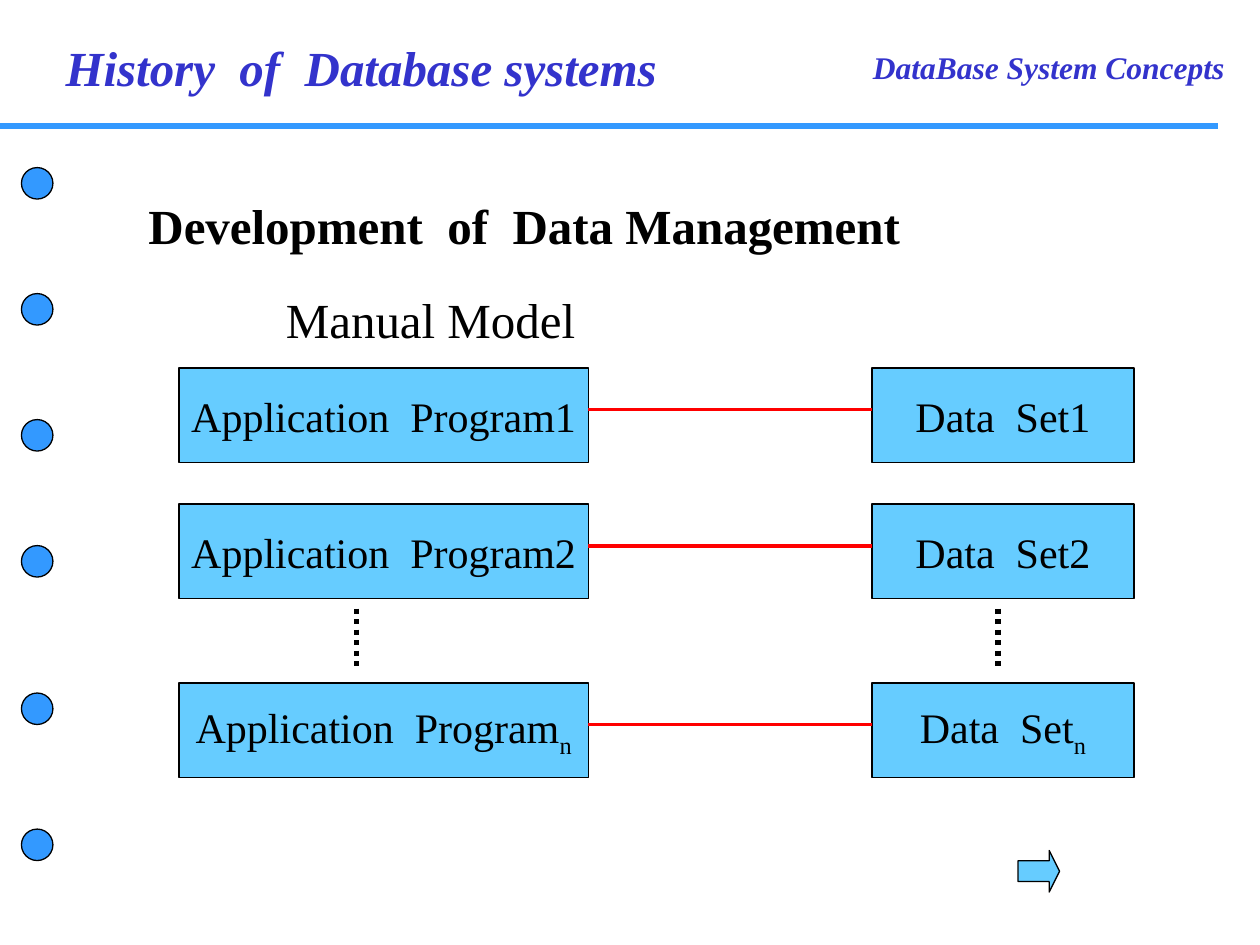
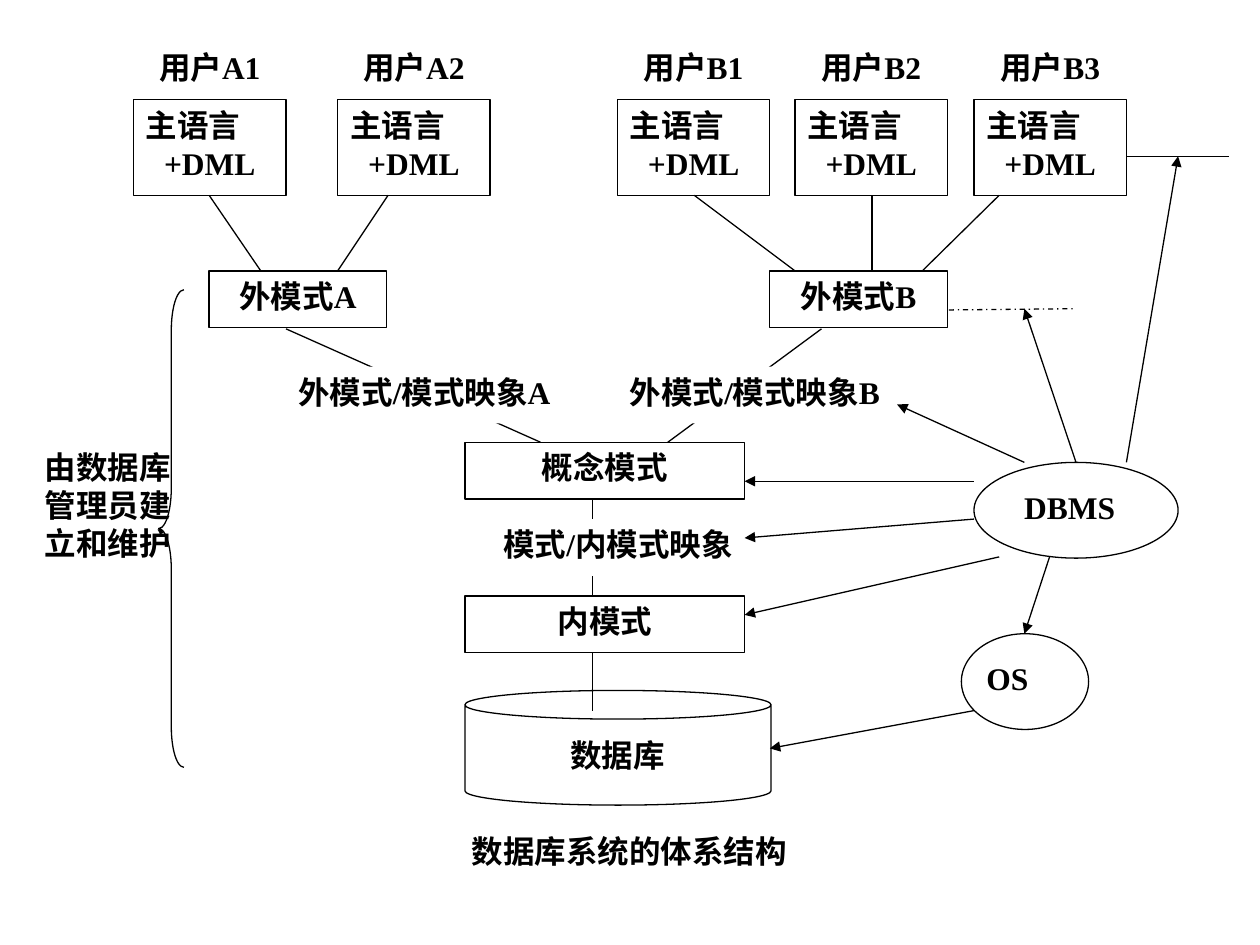
from lxml.etree import SubElement
from pptx import Presentation
from pptx.dml.color import RGBColor
from pptx.enum.dml import MSO_LINE as Dash
from pptx.enum.shapes import MSO_CONNECTOR as Link, MSO_SHAPE as Form
from pptx.enum.text import MSO_ANCHOR as Anchor, MSO_AUTO_SIZE as Auto, PP_ALIGN as Align
from pptx.oxml.ns import qn
from pptx.util import Emu, Pt

PX = 9144  # 100 px to the inch
FONT = "Times New Roman"
BLACK = RGBColor(0x00, 0x00, 0x00)
WHITE = RGBColor(0xFF, 0xFF, 0xFF)
INDIGO = RGBColor(0x33, 0x33, 0xCC)
BLUE = RGBColor(0x33, 0x99, 0xFF)
SKY = RGBColor(0x66, 0xCC, 0xFF)
RED = RGBColor(0xFF, 0x00, 0x00)


def emu(*sizes):
    return [Emu(size * PX) for size in sizes]


def add_run(para, text, size=18, color=BLACK, bold=True, italic=False):
    run = para.add_run()
    run.text = text
    font = run.font
    font.name, font.size, font.bold, font.italic = FONT, Pt(size), bold, italic
    font.color.rgb = color
    return run


def set_frame(shape, wrap=True, anchor=Anchor.TOP):
    frame = shape.text_frame
    frame.word_wrap, frame.vertical_anchor = wrap, anchor
    frame.auto_size = Auto.NONE
    return frame


def fill_text(shape, text, align, **style):
    para = set_frame(shape).paragraphs[0]
    para.alignment = align
    add_run(para, text, **style)


def add_text(slide, place, text, align=Align.LEFT, **style):
    fill_text(slide.shapes.add_textbox(*emu(*place)), text, align, **style)


def set_title(slide, place, text, align=Align.LEFT, **style):
    title = slide.shapes.title
    title.left, title.top, title.width, title.height = emu(*place)
    fill_text(title, text, align, **style)


def add_form(slide, form, place, fill=None, edge=BLACK, adjust=()):
    shape = slide.shapes.add_shape(form, *emu(*place))
    shape.shadow.inherit = False
    if fill is None:
        shape.fill.background()
    else:
        shape.fill.solid()
        shape.fill.fore_color.rgb = fill
    if edge is None:
        shape.line.fill.background()
    else:
        shape.line.color.rgb = edge
        shape.line.width = Pt(0.75)
    for i, value in enumerate(adjust):
        shape.adjustments[i] = value
    return shape


def add_line(slide, ends, color=BLACK, width=0.75, dash=None, arrow=False):
    line = slide.shapes.add_connector(Link.STRAIGHT, *emu(*ends))
    line.line.color.rgb = color
    line.line.width = Pt(width)
    if dash is not None:
        line.line.dash_style = dash
    props = line.element.spPr
    if arrow:
        SubElement(props.find(qn("a:ln")), qn("a:tailEnd"), type="triangle")
    SubElement(props, qn("a:effectLst"))


def add_node(slide, place, text, low=""):
    """Blue box with a centred name and an optional subscript."""
    box = add_form(slide, Form.RECTANGLE, place, SKY)
    para = set_frame(box, wrap=False, anchor=Anchor.MIDDLE).paragraphs[0]
    para.alignment = Align.CENTER
    add_run(para, text, 24, bold=False)
    if low:
        sub = add_run(para, low, 24, bold=False)
        sub.font._element.set("baseline", "-25000")


def add_label(slide, place, *rows, edge=BLACK):
    """White box; each row is a text and its alignment."""
    frame = set_frame(add_form(slide, Form.RECTANGLE, place, WHITE, edge))
    for i, (text, align) in enumerate(rows):
        para = frame.add_paragraph() if i else frame.paragraphs[0]
        para.alignment = align
        add_run(para, text)


def draw_manual(slide):
    """Manual model: each program tied to its own data set."""
    add_line(slide, (0, 100, 967, 100), BLUE, 3)
    for top in (133, 233, 333, 433, 550, 658):
        add_form(slide, Form.OVAL, (17, top, 25, 25), BLUE)
    add_text(slide, (683, 33, 317, 40), "DataBase System Concepts",
             color=INDIGO, italic=True)
    set_title(slide, (42, 25, 540, 57), "History  of  Database systems",
              size=28, color=INDIGO, italic=True)
    add_text(slide, (108, 150, 750, 57), "Development  of  Data Management", size=28)
    add_text(slide, (217, 225, 292, 57), "Manual Model", size=28, bold=False)
    add_form(slide, Form.RIGHT_ARROW, (808, 675, 33, 33), SKY, adjust=(0.5, 0.25))

    for top, mark, low in ((292, "1", ""), (400, "2", ""), (542, "", "n")):
        add_node(slide, (142, top, 325, 75), "Application  Program" + mark, low)
        add_node(slide, (692, top, 208, 75), "Data  Set" + mark, low)
        add_line(slide, (467, top + 33, 692, top + 33), RED, 2.25)
    for x in (283, 792):
        add_line(slide, (x, 483, x, 533), width=3, dash=Dash.ROUND_DOT)


def draw_levels(slide):
    """Users, schemas and mappings down to the stored database."""
    mid, just = Align.CENTER, Align.JUSTIFY
    add_line(slide, (470, 397, 470, 473))
    for left, user in ((106, "A1"), (268, "A2"), (490, "B1"), (631, "B2"), (773, "B3")):
        add_label(slide, (left, 79, 121, 76), ("主语言", just), ("+DML", mid))
        add_text(slide, (left, 33, 121, 45), "用户" + user, mid)
    for left, view in ((166, "A"), (611, "B")):
        add_label(slide, (left, 215, 141, 45), ("外模式" + view, mid))
    for start, end in ((166, 207), (308, 268), (551, 631), (692, 692), (793, 732)):
        add_line(slide, (start, 155, end, 215))
    add_label(slide, (369, 351, 222, 45), ("概念模式", mid))
    for start, end in ((227, 429), (652, 530)):
        add_line(slide, (start, 261, end, 351))
    for left, view in ((227, "A"), (490, "B")):
        add_label(slide, (left, 291, 243, 45), ("外模式/模式映象" + view, just), edge=None)
    add_label(slide, (369, 412, 243, 45), ("模式/内模式映象", mid), edge=None)
    add_label(slide, (369, 473, 222, 45), ("内模式", mid))
    add_form(slide, Form.CAN, (369, 548, 243, 91), WHITE, adjust=(0.25,))
    add_label(slide, (409, 579, 162, 45), ("数据库", mid), edge=None)
    add_line(slide, (470, 518, 470, 564))
    add_form(slide, Form.LEFT_BRACE, (126, 230, 20, 379), adjust=(1.6, 0.5))
    add_text(slide, (25, 351, 121, 182), "由数据库管理员建立和维护", mid)
    set_title(slide, (348, 655, 303, 45), "数据库系统的体系结构", mid)


def draw_control(slide):
    """DBMS and OS with the arrows to what they manage."""
    add_form(slide, Form.OVAL, (763, 503, 101, 76))
    add_text(slide, (773, 518, 81, 45), "OS", Align.JUSTIFY)
    add_form(slide, Form.OVAL, (773, 367, 162, 76))
    add_text(slide, (803, 382, 101, 45), "DBMS", Align.JUSTIFY)
    for ends in (
        (773, 564, 611, 594),
        (833, 442, 813, 503),
        (793, 442, 591, 488),
        (773, 412, 591, 427),
        (773, 382, 591, 382),
        (813, 367, 712, 321),
        (854, 367, 813, 245),
        (894, 367, 935, 124),
    ):
        add_line(slide, ends, arrow=True)
    add_line(slide, (753, 246, 854, 245), dash=Dash.DASH_DOT)
    add_line(slide, (894, 124, 975, 124))


def main():
    deck = Presentation()
    deck.slide_width, deck.slide_height = emu(1000, 750)
    layout = deck.slide_layouts.get_by_name("Title Only")
    draw_manual(deck.slides.add_slide(layout))
    levels = deck.slides.add_slide(layout)
    draw_levels(levels)
    draw_control(levels)
    deck.save("out.pptx")


if __name__ == "__main__":
    main()
